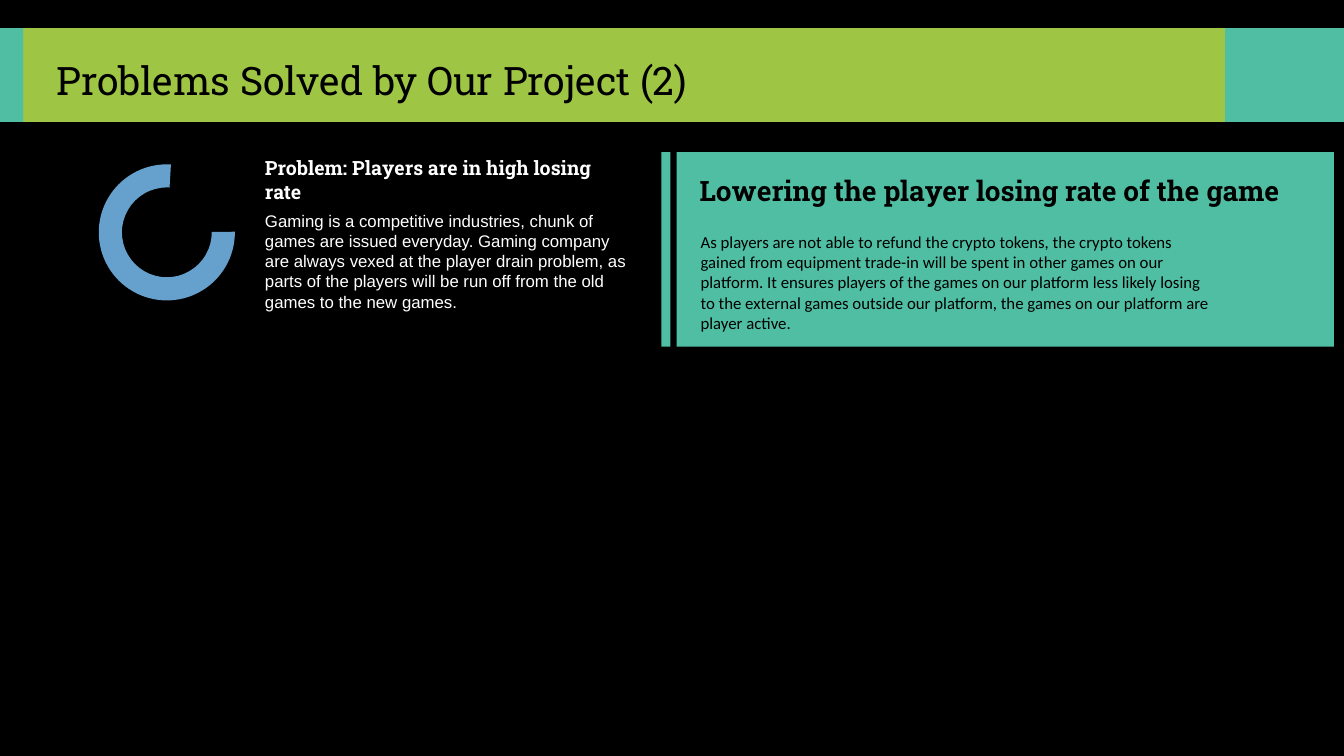
import pptx
import pptx.dml.color
import pptx.enum.shapes
import pptx.enum.text
import pptx.util

Inches = pptx.util.Inches
ANCHOR = pptx.enum.text.MSO_ANCHOR
SHAPE = pptx.enum.shapes.MSO_SHAPE

COLORS = {"black": "000000", "white": "FFFFFF", "teal": "50BEA3",
          "green": "9EC544", "blue": "65A1CC"}

TITLE = "Problems Solved by Our Project (2)"
TITLE_BOX = (0.46, 0.35, 9.7, 0.79)
TITLE_FORMAT = {"name": "Roboto Slab", "size": 28, "bold": False, "color": "black"}

BAND_TOP, BAND_HEIGHT = 0.28, 0.93
BANDS = [  # left, width, color
    (12.15, 1.18, "teal"),
    (0, 12.15, "green"),
    (0, 0.23, "teal"),
]

PANEL_TOP, PANEL_HEIGHT = 1.51, 1.93
PANELS = [
    (6.71, 6.52, "teal"),
    (6.56, 0.09, "teal"),
]

RING_BOX = (0.98, 1.63, 1.35, 1.35)
RING_ADJUSTMENTS = (53.67, 2.068, 0.17)

TEXTS = [  # text, box, anchor, format
    ("Problem: Players are in high losing rate",
     (2.53, 1.5, 3.83, 0.57), ANCHOR.MIDDLE,
     {"name": "Roboto Slab", "size": 14, "bold": True, "color": "white"}),
    ("Gaming is a competitive industries, chunk of games are issued everyday. "
     "Gaming company are always vexed at the player drain problem, as parts of "
     "the players will be run off from the old games to the new games.",
     (2.53, 2.04, 3.83, 1.11), ANCHOR.TOP,
     {"name": "Arial", "size": 12, "bold": False, "color": "white"}),
    ("Lowering the player losing rate of the game",
     (6.84, 1.5, 6.03, 0.77), ANCHOR.MIDDLE,
     {"name": "Roboto Slab", "size": 20, "bold": True, "color": "black"}),
    ("As players are not able to refund the crypto tokens, the crypto tokens "
     "gained from equipment trade-in will be spent in other games on our "
     "platform. It ensures players of the games on our platform less likely "
     "losing to the external games outside our platform, the games on our "
     "platform are player active.",
     (6.85, 2.25, 5.32, 1.41), ANCHOR.TOP,
     {"name": "Calibri", "size": 12, "bold": False, "color": "black"}),
]


def rgb(color):
    return pptx.dml.color.RGBColor.from_string(COLORS[color])


def add_filled_shape(slide, kind, box, color):
    shape = slide.shapes.add_shape(kind, *map(Inches, box))
    shape.shadow.inherit = False
    shape.fill.solid()
    shape.fill.fore_color.rgb = rgb(color)
    shape.line.fill.background()
    return shape


def write_text(shape, text, anchor, text_format, auto_size):
    frame = shape.text_frame
    frame.text = text
    frame.word_wrap = True
    frame.auto_size = auto_size
    frame.vertical_anchor = anchor
    paragraph = frame.paragraphs[0]
    paragraph.alignment = pptx.enum.text.PP_ALIGN.LEFT
    values = dict(text_format, size=pptx.util.Pt(text_format["size"]))
    paragraph.font.color.rgb = rgb(values.pop("color"))
    for attribute, value in values.items():
        setattr(paragraph.font, attribute, value)
    return paragraph


def main():
    presentation = pptx.Presentation()
    presentation.slide_width = Inches(13.33)
    presentation.slide_height = Inches(7.5)
    slide = presentation.slides.add_slide(presentation.slide_layouts[5])
    slide.background.fill.solid()
    slide.background.fill.fore_color.rgb = rgb("black")

    for left, width, color in BANDS:
        add_filled_shape(slide, SHAPE.RECTANGLE,
                         (left, BAND_TOP, width, BAND_HEIGHT), color)

    title = slide.shapes.title
    title.left, title.top, title.width, title.height = map(Inches, TITLE_BOX)
    paragraph = write_text(title, TITLE, ANCHOR.MIDDLE, TITLE_FORMAT,
                           pptx.enum.text.MSO_AUTO_SIZE.NONE)
    paragraph.line_spacing = 1.2
    # The title goes in front of the bands.
    slide.shapes._spTree.append(title._element)

    ring = add_filled_shape(slide, SHAPE.BLOCK_ARC, RING_BOX, "blue")
    ring.rotation = 270
    for index, value in enumerate(RING_ADJUSTMENTS):
        ring.adjustments[index] = value

    for left, width, color in PANELS:
        add_filled_shape(slide, SHAPE.RECTANGLE,
                         (left, PANEL_TOP, width, PANEL_HEIGHT), color)

    for text, box, anchor, text_format in TEXTS:
        textbox = slide.shapes.add_textbox(*map(Inches, box))
        write_text(textbox, text, anchor, text_format,
                   pptx.enum.text.MSO_AUTO_SIZE.SHAPE_TO_FIT_TEXT)

    presentation.save("out.pptx")


if __name__ == "__main__":
    main()
